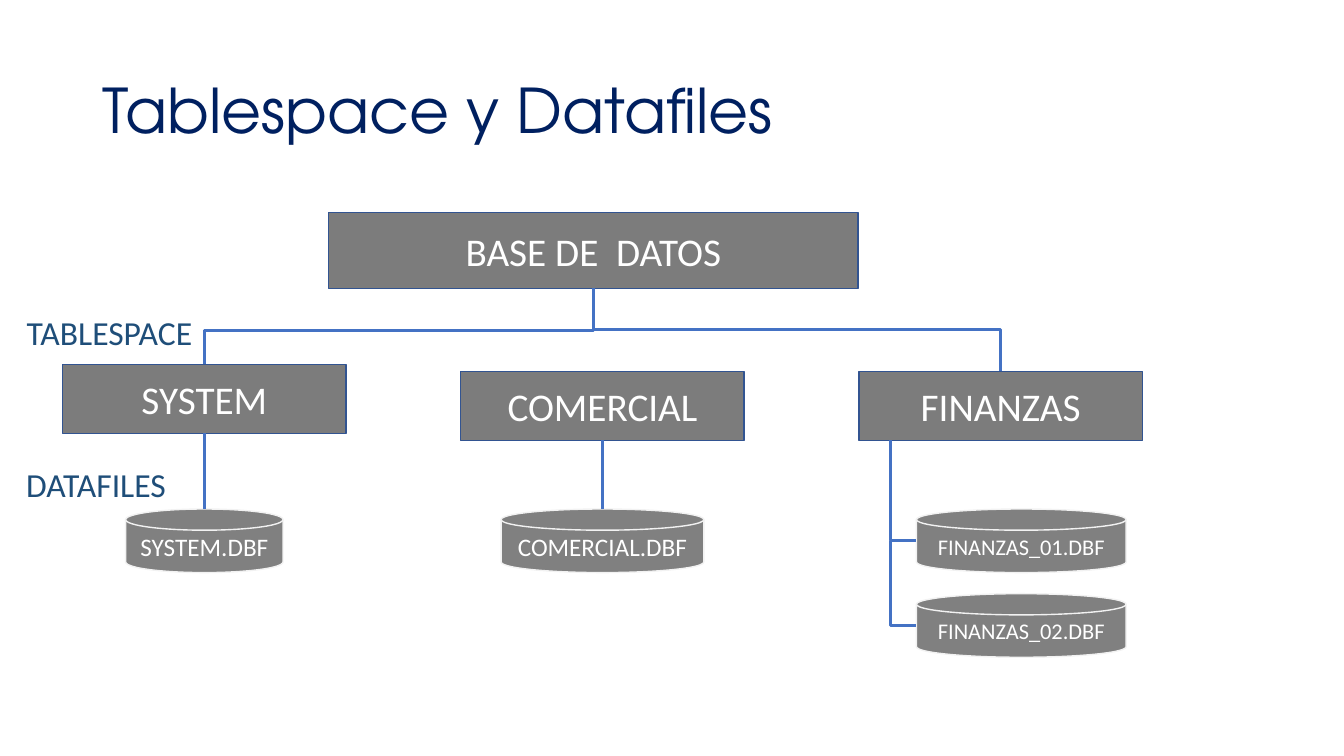
"""Build the slide showing a database, its tablespaces and their datafiles."""
from lxml.etree import SubElement
from pptx import Presentation
from pptx.dml.color import RGBColor
from pptx.enum.shapes import MSO_CONNECTOR, MSO_SHAPE
from pptx.enum.text import MSO_ANCHOR, MSO_AUTO_SIZE, PP_ALIGN
from pptx.oxml.ns import qn
from pptx.util import Pt

NAVY = RGBColor(0x00, 0x20, 0x60)
LABEL_BLUE = RGBColor(0x1F, 0x4E, 0x79)
LINE_BLUE = RGBColor(0x44, 0x72, 0xC4)
BORDER_BLUE = RGBColor(0x32, 0x54, 0x91)
BOX_GRAY = RGBColor(0x7C, 0x7C, 0x7C)
DISK_GRAY = RGBColor(0x80, 0x80, 0x80)
DISK_EDGE = RGBColor(0xF2, 0xF2, 0xF2)
WHITE = RGBColor(0xFF, 0xFF, 0xFF)

presentation = Presentation()
presentation.slide_width = Pt(960)
presentation.slide_height = Pt(540)
slide = presentation.slides.add_slide(presentation.slide_layouts[6])


def write(shape, text, size, color, font="Calibri"):
    paragraph = shape.text_frame.paragraphs[0]
    run = paragraph.add_run()
    run.text = text
    run.font.name = font
    run.font.size = Pt(size)
    run.font.color.rgb = color
    return paragraph


def connect(start_x, start_y, end_x, end_y, preset, bend=None):
    across, down = abs(end_x - start_x), end_y - start_y
    middle_x, middle_y = (start_x + end_x) / 2, (start_y + end_y) / 2
    connector = slide.shapes.add_connector(
        MSO_CONNECTOR.ELBOW,
        Pt(middle_x - down / 2), Pt(middle_y - across / 2),
        Pt(middle_x + down / 2), Pt(middle_y + across / 2))
    connector.line.color.rgb = LINE_BLUE
    connector.line.width = Pt(2.25)
    properties = connector._element.spPr
    SubElement(properties, qn("a:effectLst"))
    transform = properties.find(qn("a:xfrm"))
    if end_x > start_x:
        transform.set("rot", "16200000")
        transform.set("flipH", "1")
    else:
        transform.set("rot", "5400000")
    geometry = properties.find(qn("a:prstGeom"))
    geometry.set("prst", preset)
    if bend:
        guide = SubElement(geometry.find(qn("a:avLst")), qn("a:gd"))
        guide.set("name", "adj1")
        guide.set("fmla", f"val {bend}")


title = slide.shapes.add_textbox(Pt(66), Pt(28.8), Pt(828), Pt(104.4))
title.text_frame.word_wrap = True
title.text_frame.vertical_anchor = MSO_ANCHOR.MIDDLE
write(title, "Tablespace y Datafiles", 44, NAVY, "TeX Gyre Adventor").line_spacing = 0.9

box_width, box_height, box_step = 202.5, 49.3, 284.4
box_lefts = [44.7 + index * box_step for index in range(3)]
system_x, comercial_x, finanzas_x = [left + box_width / 2 for left in box_lefts]
system_top, box_top = 260.2, 265.2
disk_top, disk_height, disk_step = 363.6, 45.4, 60.5
finanzas_left = 654.6
database_x, database_bottom = 423.8, 206

boxes = [
    ("BASE DE  DATOS", 234.8, 152, 378, 54),
    ("SYSTEM", box_lefts[0], system_top, box_width, box_height),
    ("COMERCIAL", box_lefts[1], box_top, box_width, box_height),
    ("FINANZAS", box_lefts[2], box_top, box_width, box_height),
]
disks = [
    ("SYSTEM.DBF", system_x - 56.2, disk_top, 112.4, 18),
    ("COMERCIAL.DBF", comercial_x - 72.4, disk_top, 144.8, 18),
    ("FINANZAS_01.DBF", finanzas_left, disk_top, 149.8, 16),
    ("FINANZAS_02.DBF", finanzas_left, disk_top + disk_step, 149.8, 16),
]
nodes = [(MSO_SHAPE.RECTANGLE, BOX_GRAY, BORDER_BLUE, 28, *box) for box in boxes]
nodes += [(MSO_SHAPE.FLOWCHART_MAGNETIC_DISK, DISK_GRAY, DISK_EDGE, size,
           name, left, top, width, disk_height)
          for name, left, top, width, size in disks]

for kind, fill, edge, size, name, left, top, width, height in nodes:
    shape = slide.shapes.add_shape(kind, Pt(left), Pt(top), Pt(width), Pt(height))
    shape.shadow.inherit = False
    shape.fill.solid()
    shape.fill.fore_color.rgb = fill
    shape.line.color.rgb = edge
    shape.line.width = Pt(1)
    shape.text_frame.word_wrap = True
    shape.text_frame.vertical_anchor = MSO_ANCHOR.MIDDLE
    write(shape, name, size, WHITE).alignment = PP_ALIGN.CENTER

connect(database_x, database_bottom, system_x, system_top, "bentConnector3", 56100)
connect(database_x, database_bottom, finanzas_x, box_top, "bentConnector3")
for center, top in ((system_x, system_top), (comercial_x, box_top)):
    connect(center, top + box_height, center, disk_top, "line")

branch_x, branch_top = 635.8, box_top + box_height
for index in range(2):
    branch_end = disk_top + disk_height / 2 + index * disk_step
    connect(branch_x, branch_top, finanzas_left, branch_end, "bentConnector2")
    branch_top = branch_end

for text, left, top, width in (("TABLESPACE", 12, 219, 134), ("DATAFILES", 11.6, 327.6, 115)):
    label = slide.shapes.add_textbox(Pt(left), Pt(top), Pt(width), Pt(36))
    label.text_frame.word_wrap = False
    label.text_frame.auto_size = MSO_AUTO_SIZE.SHAPE_TO_FIT_TEXT
    write(label, text, 24, LABEL_BLUE)

presentation.save("out.pptx")
